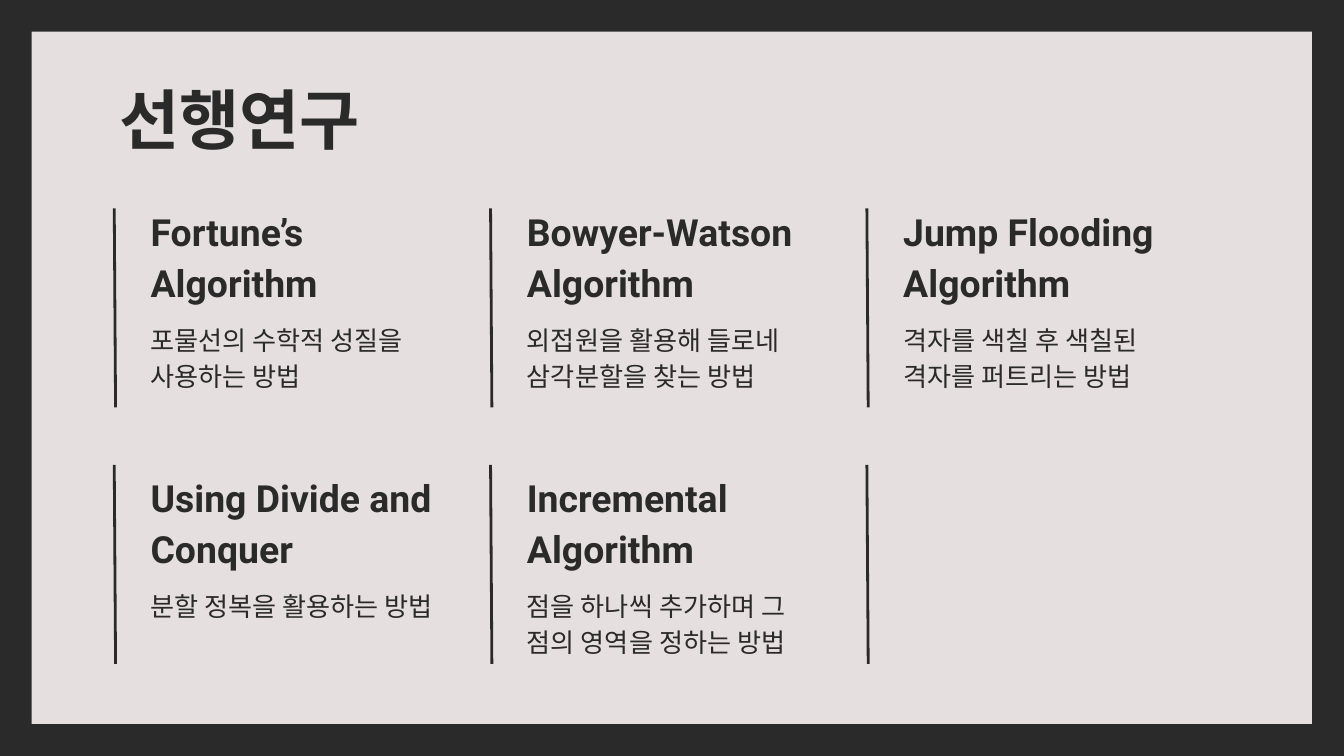
from pptx import Presentation
from pptx.dml.color import RGBColor
from pptx.enum import shapes, text
from pptx.oxml.ns import qn
from pptx.util import Pt

TITLE = "선행연구"
METHODS = [
    ("Fortune’s Algorithm", "포물선의 수학적 성질을 사용하는 방법"),
    ("Bowyer-Watson Algorithm", "외접원을 활용해 들로네 삼각분할을 찾는 방법"),
    ("Jump Flooding Algorithm", "격자를 색칠 후 색칠된 격자를 퍼트리는 방법"),
    ("Using Divide and Conquer", "분할 정복을 활용하는 방법"),
    ("Incremental Algorithm", "점을 하나씩 추가하며 그 점의 영역을 정하는 방법"),
]
COLORS = {"ink": "2A2A2A", "paper": "E5DFDF"}
KOREAN, LATIN = "Noto Sans CJK KR", "Roboto"
TITLE_FONT = {"name": KOREAN, "size": Pt(35), "bold": True}
HEADING_FONT = {"name": LATIN, "size": Pt(20), "bold": True}
BODY_FONT = {"name": KOREAN, "size": Pt(14), "bold": False}

WIDTH, HEIGHT = 720, 405
COLUMNS, ROWS = 3, 2
COLUMN_STEP = 201.6
RULE_LEFT, RULE_TOP, RULE_STEP = 61.2, 111.6, 137.5
RULE_HEIGHT, RULE_SLANT = 106.6, 0.72
TEXT_LEFT, TEXT_TOP, TEXT_STEP = 73.6, 110.2, 142.6
HEADING_HEIGHT, BODY_OFFSET, BODY_HEIGHT = 60.5, 54, 49.7
HEADING_WIDTH, BODY_WIDTH = 175, 178


def color(name):
    return RGBColor.from_string(COLORS[name])


def place(shape, left, top, width, height):
    shape.left, shape.top, shape.width, shape.height = map(Pt, (left, top, width, height))


def write(shape, words, font, anchor, line_spacing):
    frame = shape.text_frame
    frame_format = {"word_wrap": True, "auto_size": text.MSO_AUTO_SIZE.NONE,
                    "vertical_anchor": anchor}
    for side in ("left", "top", "right", "bottom"):
        frame_format[f"margin_{side}"] = Pt(7.2)
    for key, value in frame_format.items():
        setattr(frame, key, value)
    paragraph = frame.paragraphs[0]
    paragraph.alignment = text.PP_ALIGN.LEFT
    paragraph.line_spacing = line_spacing
    run = paragraph.add_run()
    run.text = words
    for key, value in font.items():
        setattr(run.font, key, value)
    run.font.color.rgb = color("ink")
    # Hangul takes its typeface from the East Asian font slot.
    east_asian = run.font._element.makeelement(qn("a:ea"), {"typeface": font["name"]})
    run.font._element.find(qn("a:latin")).addnext(east_asian)


def add_border(slide):
    border = slide.shapes.add_shape(shapes.MSO_SHAPE.FRAME, 0, 0, Pt(WIDTH), Pt(HEIGHT))
    border.adjustments[0] = 0.042
    border.shadow.inherit = False
    border.fill.solid()
    border.fill.fore_color.rgb = color("ink")
    border.line.fill.background()
    slide.shapes._spTree.insert(2, border._element)  # behind the title


def add_rule(slide, column, row):
    left = RULE_LEFT + column * COLUMN_STEP
    top = RULE_TOP + row * RULE_STEP
    rule = slide.shapes.add_connector(
        shapes.MSO_CONNECTOR.STRAIGHT,
        Pt(left), Pt(top), Pt(left + RULE_SLANT), Pt(top + RULE_HEIGHT))
    rule.line.color.rgb = color("ink")
    rule.line.width = Pt(1.5)
    properties = rule._element.spPr
    properties.append(properties.makeelement(qn("a:effectLst"), {}))


def add_method(slide, column, row, heading, body):
    left = TEXT_LEFT + column * COLUMN_STEP
    top = TEXT_TOP + row * TEXT_STEP
    parts = [
        (heading, HEADING_FONT, text.MSO_ANCHOR.BOTTOM, top, HEADING_WIDTH, HEADING_HEIGHT),
        (body, BODY_FONT, text.MSO_ANCHOR.TOP, top + BODY_OFFSET, BODY_WIDTH, BODY_HEIGHT),
    ]
    for words, font, anchor, part_top, width, height in parts:
        box = slide.shapes.add_textbox(Pt(left), Pt(part_top), Pt(width), Pt(height))
        write(box, words, font, anchor, 1.15)


def main():
    presentation = Presentation()
    presentation.slide_width, presentation.slide_height = Pt(WIDTH), Pt(HEIGHT)
    slide = presentation.slides.add_slide(presentation.slide_layouts[5])
    slide.background.fill.solid()
    slide.background.fill.fore_color.rgb = color("paper")
    add_border(slide)

    title = slide.shapes.title
    place(title, 56.9, 35.3, 607, 45.4)
    write(title, TITLE, TITLE_FONT, text.MSO_ANCHOR.TOP, 1)

    for index in range(COLUMNS * ROWS):
        row, column = divmod(index, COLUMNS)
        add_rule(slide, column, row)
    for index, (heading, body) in enumerate(METHODS):
        row, column = divmod(index, COLUMNS)
        add_method(slide, column, row, heading, body)
    presentation.save("out.pptx")


if __name__ == "__main__":
    main()
